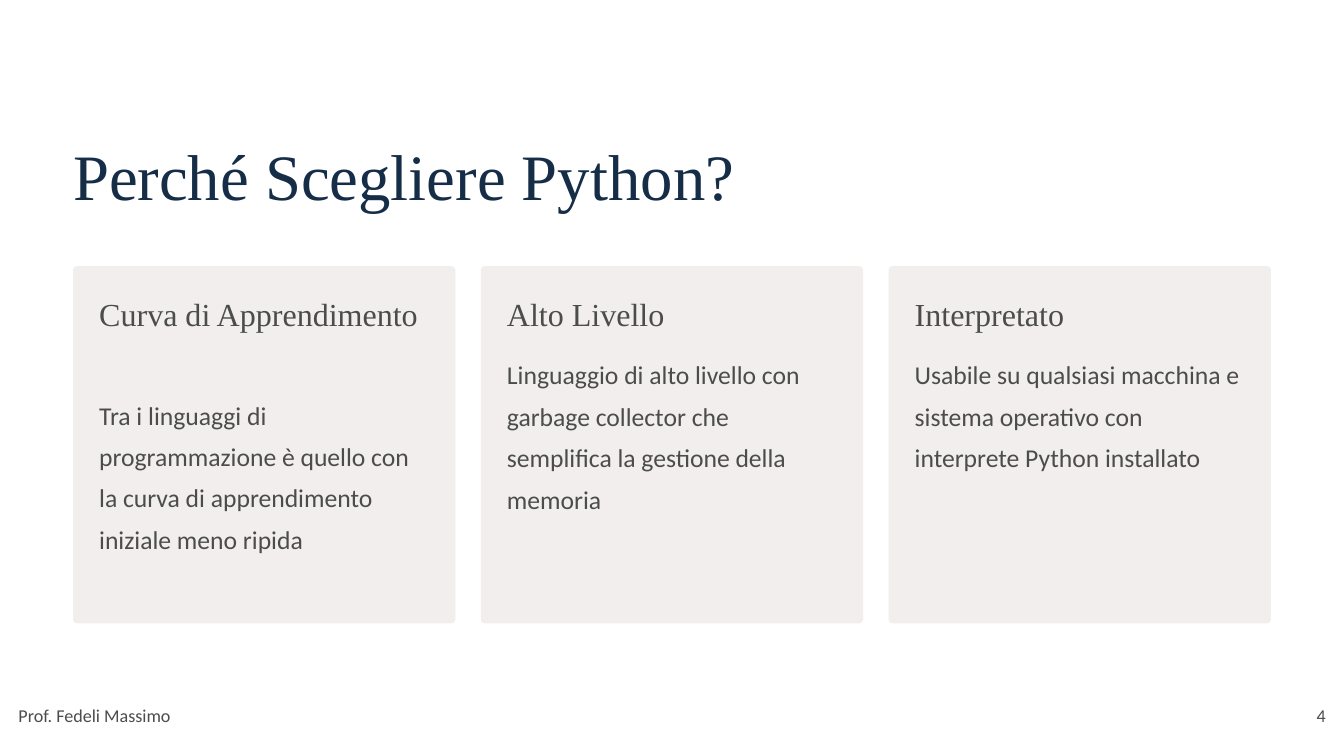
from pptx import Presentation
from pptx.dml.color import RGBColor
from pptx.enum.shapes import MSO_SHAPE as Shape
from pptx.enum.text import PP_ALIGN as Align
from pptx.util import Cm, Pt

SERIF, SANS = "Times New Roman", "Calibri"
NAVY, GREY, CARD, WHITE = "152D47", "4C4C4D", "F2EEEE", "FFFFFF"


def color(value):
    return RGBColor.from_string(value)


class SlideBuilder:
    """Draws styled elements on one slide, with lengths in centimetres."""

    def __init__(self, slide):
        self.slide = slide

    def background(self, fill):
        self.slide.background.fill.solid()
        self.slide.background.fill.fore_color.rgb = color(fill)

    def panel(self, left, top, width, height):
        panel = self.slide.shapes.add_shape(
            Shape.ROUNDED_RECTANGLE, Cm(left), Cm(top), Cm(width), Cm(height))
        panel.adjustments[0] = 0.011
        panel.shadow.inherit = False
        panel.fill.solid()
        panel.fill.fore_color.rgb = color(CARD)
        panel.line.fill.background()

    def text(self, content, left, top, width, height, size, spacing,
             font=SANS, ink=GREY, align=Align.LEFT, wrap=False):
        frame = self.slide.shapes.add_textbox(
            Cm(left), Cm(top), Cm(width), Cm(height)).text_frame
        frame.margin_left = frame.margin_right = 0
        frame.margin_top = frame.margin_bottom = 0
        frame.word_wrap = wrap
        paragraph = frame.paragraphs[0]
        paragraph.text = content
        paragraph.alignment = align
        paragraph.line_spacing = Pt(spacing)
        paragraph.font.name = font
        paragraph.font.size = Pt(size)
        paragraph.font.color.rgb = color(ink)

    def card(self, left, heading, body, heading_lines):
        top, padding, text_width = 8.05, 0.79, 9.98
        text_left, heading_top = left + padding, top + padding
        heading_height = 1.22 * heading_lines
        body_top = heading_top + heading_height + 0.48
        self.panel(left, top, 11.56, 10.8)
        self.text(heading, text_left, heading_top, text_width, heading_height,
                  27.5, 34.5, SERIF, wrap=True)
        self.text(body, text_left, body_top, text_width, 5.03, 22, 35.5, wrap=True)


def main():
    deck = Presentation()
    deck.slide_width, deck.slide_height = Cm(40.64), Cm(22.86)
    builder = SlideBuilder(deck.slides.add_slide(deck.slide_layouts[6]))
    margin, card_step = 2.21, 12.33
    reasons = [
        ("Curva di Apprendimento",
         "Tra i linguaggi di programmazione è quello con la curva di "
         "apprendimento iniziale meno ripida", 2),
        ("Alto Livello",
         "Linguaggio di alto livello con garbage collector che semplifica "
         "la gestione della memoria", 1),
        ("Interpretato",
         "Usabile su qualsiasi macchina e sistema operativo con interprete "
         "Python installato", 1),
    ]

    builder.background(WHITE)
    builder.text("Perché Scegliere Python?", margin, 4.01, 20.12, 2.46,
                 55.5, 69.5, SERIF, NAVY)
    for index, (heading, body, heading_lines) in enumerate(reasons):
        builder.card(margin + index * card_step, heading, body, heading_lines)
    builder.text("Prof. Fedeli Massimo", 0.56, 21.08, 5.87, 0.89, 15.5, 25)
    builder.text("4", 39.12, 21.08, 0.97, 0.89, 15.5, 25, align=Align.RIGHT)
    deck.save("out.pptx")


if __name__ == "__main__":
    main()
